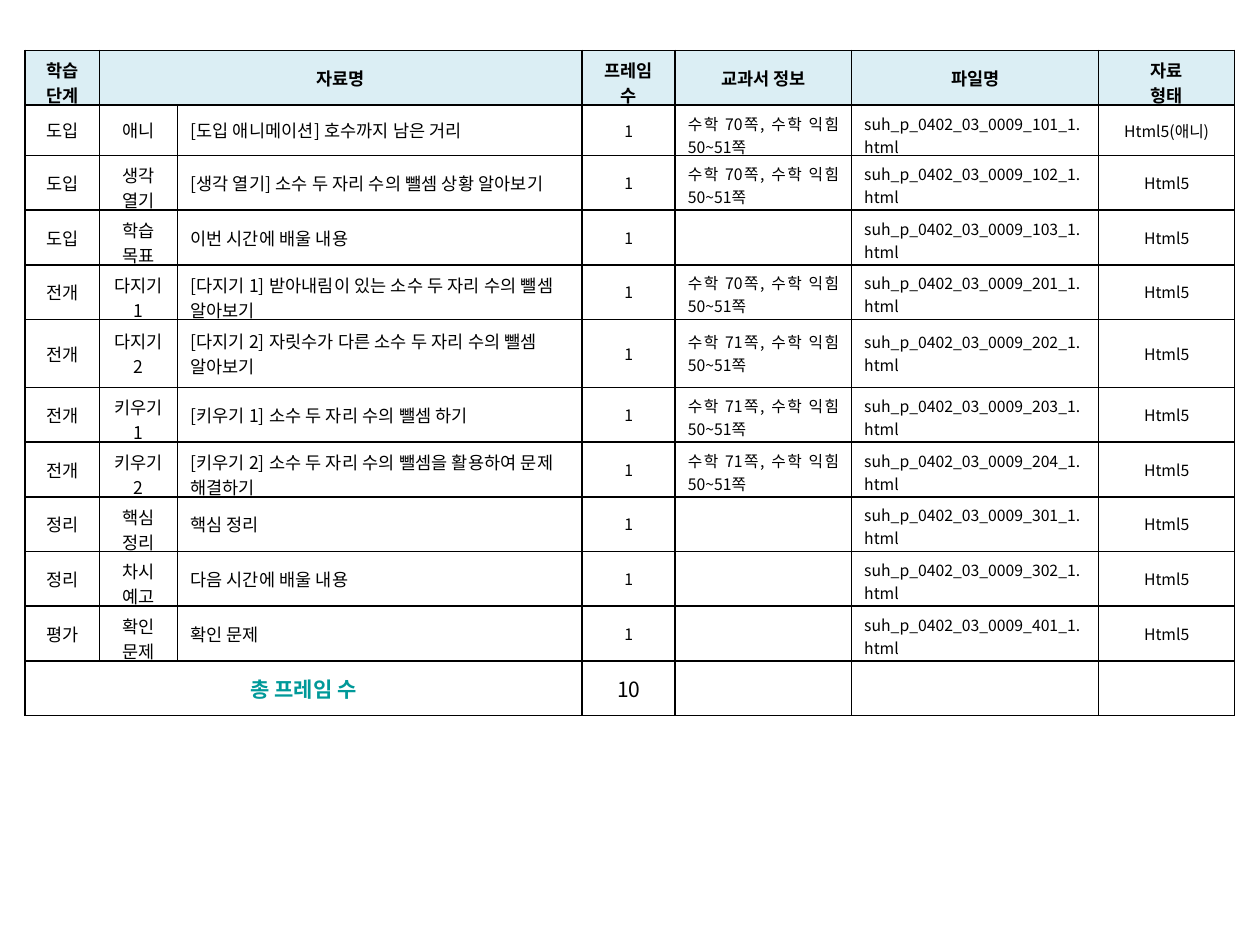
from lxml import etree
from pptx import Presentation
from pptx import util as u
from pptx.dml.color import RGBColor
from pptx.enum import text
from pptx.oxml.ns import qn

FONT = "Noto Sans CJK KR"
BLACK = RGBColor(0x00, 0x00, 0x00)
TEAL = RGBColor(0x00, 0x99, 0x99)
HEADER_BLUE = RGBColor(0xDB, 0xEE, 0xF4)

CENTER, LEFT, JUSTIFY = (text.PP_ALIGN.CENTER, text.PP_ALIGN.LEFT,
                         text.PP_ALIGN.JUSTIFY)

# Table grid in inches: one short row, one tall row, the rest share the height
COLUMNS = [0.59, 0.62, 3.21, 0.74, 1.4, 1.96, 1.08]
ALIGNMENTS = [CENTER, CENTER, LEFT, CENTER, JUSTIFY, JUSTIFY, CENTER]
SIZES = [10, 10, 10, 9, 9, 9, 9]
SPECIAL_ROWS = {1: 0.4, 5: 0.54}
SIDE_MARGIN, TOP_MARGIN = 0.1, 0.05
LINE_HEIGHT = 1.45
TITLE_COLUMN, TITLE_TRACKING = 2, 10  # tracking in hundredths of a point

HEADERS = ["학습 단계", "자료명", "", "프레임 수", "교과서 정보", "파일명", "자료\n형태"]

# Stage, label, title, textbook page, file number
LESSONS = [
    ("도입", "애니", "[도입 애니메이션] 호수까지 남은 거리", 70, 101),
    ("도입", "생각 열기", "[생각 열기] 소수 두 자리 수의 뺄셈 상황 알아보기", 70, 102),
    ("도입", "학습 목표", "이번 시간에 배울 내용", None, 103),
    ("전개", "다지기 1", "[다지기 1] 받아내림이 있는 소수 두 자리 수의 뺄셈 알아보기", 70, 201),
    ("전개", "다지기 2", "[다지기 2] 자릿수가 다른 소수 두 자리 수의 뺄셈 알아보기", 71, 202),
    ("전개", "키우기 1", "[키우기 1] 소수 두 자리 수의 뺄셈 하기", 71, 203),
    ("전개", "키우기 2", "[키우기 2] 소수 두 자리 수의 뺄셈을 활용하여 문제 해결하기", 71, 204),
    ("정리", "핵심 정리", "핵심 정리", None, 301),
    ("정리", "차시 예고", "다음 시간에 배울 내용", None, 302),
    ("평가", "확인 문제", "확인 문제", None, 401),
]


def draw_borders(cell):
    properties = cell._tc.get_or_add_tcPr()
    for position, side in enumerate(("lnL", "lnR", "lnT", "lnB")):
        line = etree.Element(qn(f"a:{side}"), w=str(u.Pt(1)))
        fill = etree.SubElement(line, qn("a:solidFill"))
        etree.SubElement(fill, qn("a:srgbClr"), val=str(BLACK))
        properties.insert(position, line)


def write_cell(cell, words, align, size, bold=False, color=BLACK):
    cell.vertical_anchor = text.MSO_ANCHOR.MIDDLE
    cell.text_frame.text = words
    for paragraph in cell.text_frame.paragraphs:
        paragraph.alignment = align
        for run in paragraph.runs:
            run.font.name = FONT
            run.font.size = u.Pt(size)
            run.font.bold = bold
            run.font.color.rgb = color
            etree.SubElement(run._r.get_or_add_rPr(), qn("a:ea"), typeface=FONT)
            if align == LEFT:
                run._r.get_or_add_rPr().set("spc", str(TITLE_TRACKING))
        if not words:  # keeps empty cells from stretching their row
            etree.SubElement(paragraph._p, qn("a:endParaRPr"), sz=str(size * 100))


def takes_two_lines(words, size, column_width):
    def em(letter):
        return 0.92 if letter >= "가" else 0.3 if letter in " []" else 0.55

    room = (column_width - 2 * SIDE_MARGIN) * 72
    return "\n" in words or sum(map(em, words)) * size > room


def tighten_cell(cell, words, size, column_width, row_height):
    """Trim the bottom margin so that two lines never stretch the row."""
    if takes_two_lines(words, size, column_width):
        lines_height = 2 * size * LINE_HEIGHT / 72
        spare = row_height - TOP_MARGIN - lines_height - 0.01
        cell.margin_bottom = u.Inches(min(TOP_MARGIN, spare))


def lesson_row(stage, label, title, page, number):
    textbook = f"수학 {page}쪽, 수학 익힘 50~51쪽" if page else ""
    file_name = f"suh_p_0402_03_0009_{number}_1.html"
    media = "Html5(애니)" if label == "애니" else "Html5"
    return [stage, label, title, "1", textbook, file_name, media]


def add_lesson_table(slide, left, top, width, height):
    row_count = len(LESSONS) + 2
    table = slide.shapes.add_table(row_count, len(COLUMNS),
                                   left, top, width, height).table
    table.first_row = table.horz_banding = False
    for column, share in zip(table.columns, COLUMNS):
        column.width = int(width * share / sum(COLUMNS))
    special_height = u.Inches(sum(SPECIAL_ROWS.values()))
    regular = (height - special_height) // (row_count - len(SPECIAL_ROWS))
    for index, row in enumerate(table.rows):
        special = SPECIAL_ROWS.get(index)
        row.height = u.Inches(special) if special else regular

    # Plain cells with black borders
    for cell in table.iter_cells():
        cell.fill.background()
        draw_borders(cell)

    # Header row
    for cell, words, share in zip(table.rows[0].cells, HEADERS, COLUMNS):
        cell.fill.solid()
        cell.fill.fore_color.rgb = HEADER_BLUE
        write_cell(cell, words, CENTER, 10, bold=True)
        tighten_cell(cell, words, 10, share, table.rows[0].height.inches)
    table.cell(0, 1).merge(table.cell(0, 2))

    # Lesson rows
    for index, lesson in enumerate(LESSONS, 1):
        row = table.rows[index]
        for cell, words, align, size, share in zip(
                row.cells, lesson_row(*lesson), ALIGNMENTS, SIZES, COLUMNS):
            write_cell(cell, words, align, size)
            tighten_cell(cell, words, size, share, row.height.inches)

    # Total row
    last = row_count - 1
    for cell in table.rows[last].cells:
        write_cell(cell, "", CENTER, 10)
    table.cell(last, 0).merge(table.cell(last, 2))
    write_cell(table.cell(last, 0), "총 프레임 수", CENTER, 12, True, TEAL)
    write_cell(table.cell(last, 3), str(len(LESSONS)), CENTER, 12)


def main():
    deck = Presentation()
    deck.slide_width, deck.slide_height = u.Inches(10), u.Inches(7.5)
    slide = deck.slides.add_slide(deck.slide_layouts[6])
    add_lesson_table(slide, u.Inches(0.2), u.Inches(0.4),
                     u.Inches(9.6), u.Inches(5.28))
    deck.save("out.pptx")


if __name__ == "__main__":
    main()
